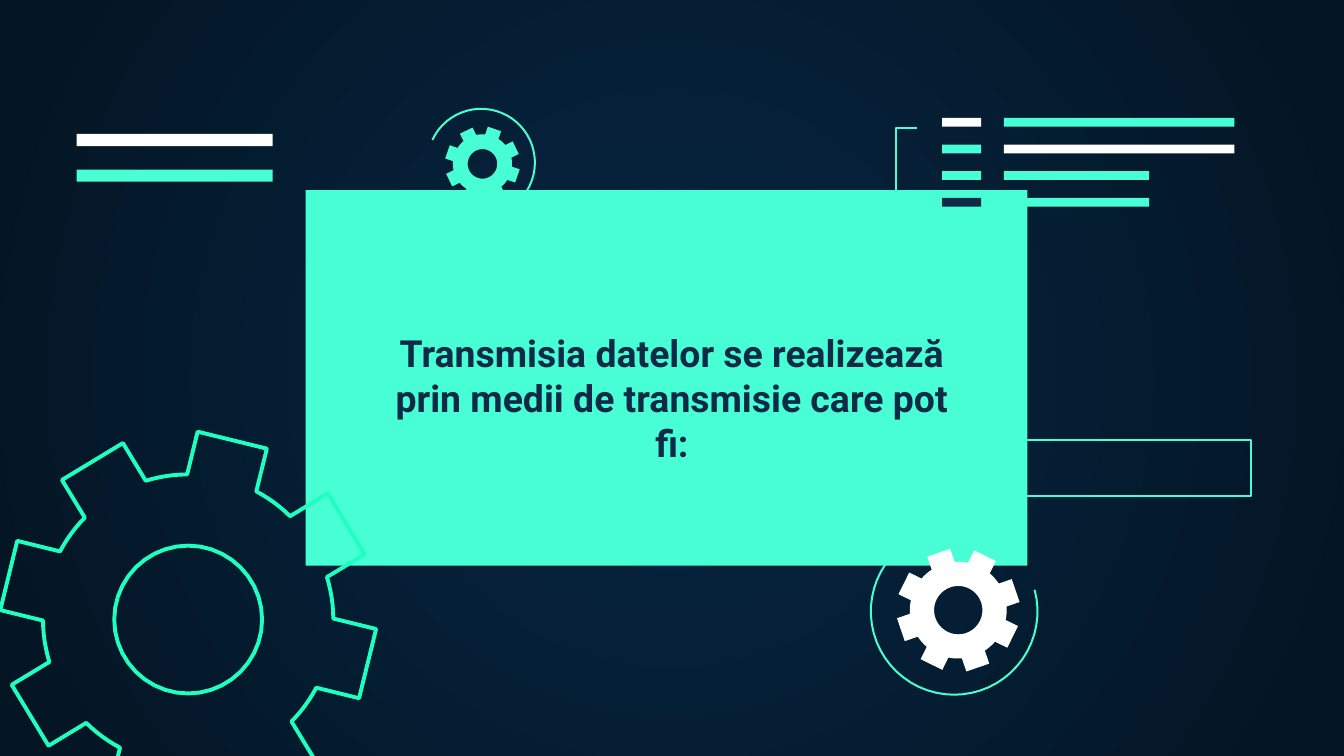
from math import asin, cos, radians, sin

from lxml.etree import SubElement
from pptx import Presentation
from pptx.dml.color import RGBColor
from pptx.enum.shapes import MSO_SHAPE
from pptx.enum.text import PP_ALIGN
from pptx.oxml.ns import qn
from pptx.util import Inches, Pt

COLUMNS, ROWS = 100, 56.25
MINT, GREEN, WHITE, NAVY = "48FFD5", "1EFFC1", "FFFFFF", "0E2A47"


def color(value):
    return RGBColor.from_string(value)


def arc_points(center, radius, start, end, steps=40):
    angles = [radians(start + (end - start) * i / steps) for i in range(steps + 1)]
    return [(center[0] + radius * cos(a), center[1] + radius * sin(a)) for a in angles]


def gear_points(center, outer, root, tooth, turn):
    tip_angle = asin(tooth / 2 / outer) * 180 / 3.1416
    root_angle = asin(tooth / 2 / root) * 180 / 3.1416
    points = []
    for middle in range(0, 360, 45):
        angle = middle + turn
        points += arc_points(center, outer, angle - tip_angle, angle + tip_angle, 1)
        points += arc_points(center, root, angle + root_angle, angle + 45 - root_angle, 6)
    return points


class Slide:
    font = "Roboto"
    thin = 1.09

    def __init__(self, deck):
        self.page = deck.slides.add_slide(deck.slide_layouts[6])
        self.unit = deck.slide_width / COLUMNS

    def grid(self, *cells):
        return [round(cell * self.unit) for cell in cells]

    def background(self, inner, outer):
        fill = self.page.background.fill
        fill.gradient()
        for stop, position, value in zip(fill.gradient_stops, (0, 1), (inner, outer)):
            stop.position = position
            stop.color.rgb = color(value)
        linear = next(self.page.background._cSld.iter(qn("a:lin")))
        gradient = linear.getparent()
        gradient.remove(linear)
        circle = SubElement(gradient, qn("a:path"), path="circle")
        SubElement(circle, qn("a:fillToRect"), l="50000", t="50000", r="50000", b="50000")

    def paint(self, shape, fill=None, line=None, width=thin):
        shape.shadow.inherit = False
        if fill:
            shape.fill.solid()
            shape.fill.fore_color.rgb = color(fill)
        else:
            shape.fill.background()
        if line:
            shape.line.color.rgb = color(line)
            shape.line.width = Pt(width)
        else:
            shape.line.fill.background()

    def bar(self, left, top, width, height, **style):
        shape = self.page.shapes.add_shape(MSO_SHAPE.RECTANGLE, *self.grid(left, top, width, height))
        self.paint(shape, **style)

    def outline(self, *contours, close=True, **style):
        first, *others = [[tuple(self.grid(*point)) for point in contour] for contour in contours]
        builder = self.page.shapes.build_freeform(*first[0])
        builder.add_line_segments(first[1:], close=close)
        for contour in others:
            builder.move_to(*contour[0])
            builder.add_line_segments(contour[1:], close=close)
        self.paint(builder.convert_to_shape(), **style)

    def arc(self, center, radius, start, end):
        self.outline(arc_points(center, radius, start, end), close=False, line=MINT)

    def gear(self, center, outer, root, tooth, turn, hole, **style):
        rim = gear_points(center, outer, root, tooth, turn)
        self.outline(rim, arc_points(center, hole, 360, 0), **style)

    def text(self, words, left, top, width, height, size, value):
        box = self.page.shapes.add_textbox(*self.grid(left, top, width, height))
        frame = box.text_frame
        frame.word_wrap = True
        frame.margin_left = frame.margin_right = Inches(0.1)
        frame.margin_top = frame.margin_bottom = Inches(0.1)
        para = frame.paragraphs[0]
        para.text = words
        para.alignment = PP_ALIGN.CENTER
        para.font.name = self.font
        para.font.size = Pt(size)
        para.font.bold = True
        para.font.color.rgb = color(value)


def main():
    deck = Presentation()
    deck.slide_width, deck.slide_height = Inches(10), Inches(10 * ROWS / COLUMNS)
    slide = Slide(deck)
    slide.background("052643", "041523")
    slide.bar(22.75, 14.15, 53.7, 27.95, fill=MINT)

    slide.arc((35.8, 12.1), 4, 205, 455)
    slide.arc((71, 45.5), 6.2, -15, 233)
    slide.gear((14, 46.1), 14, 10.8, 5.3, 13.8, 5.5, line=GREEN, width=2.1)
    slide.gear((71.3, 45.4), 4.6, 3.6, 1.8, 26.2, 1.8, fill=WHITE)
    slide.gear((35.9, 12.2), 2.8, 2.2, 1.04, 19, 1.1, fill=MINT)

    code_rows = [(WHITE, MINT, 17.15), (MINT, WHITE, 17.15), (MINT, MINT, 10.8), (NAVY, MINT, 10.8)]
    for row, (label, value, width) in enumerate(code_rows):
        top = 8.78 + 1.98 * row
        slide.bar(70.1, top, 2.9, 0.65, fill=label)
        slide.bar(74.7, top, width, 0.65, fill=value)

    slide.outline([(68.3, 15.6), (66.7, 15.6), (66.7, 9.5), (68.2, 9.5)], close=False, line=MINT)
    for top, fill in ((9.97, WHITE), (12.62, MINT)):
        slide.bar(5.7, top, 14.6, 0.9, fill=fill)
    slide.bar(72, 32.75, 21.1, 4.15, line=MINT)

    slide.text("Transmisia datelor se realizează prin medii de transmisie care pot fi:",
               27.3, 23.6, 45.4, 8.9, 20, NAVY)
    deck.save("out.pptx")


if __name__ == "__main__":
    main()
